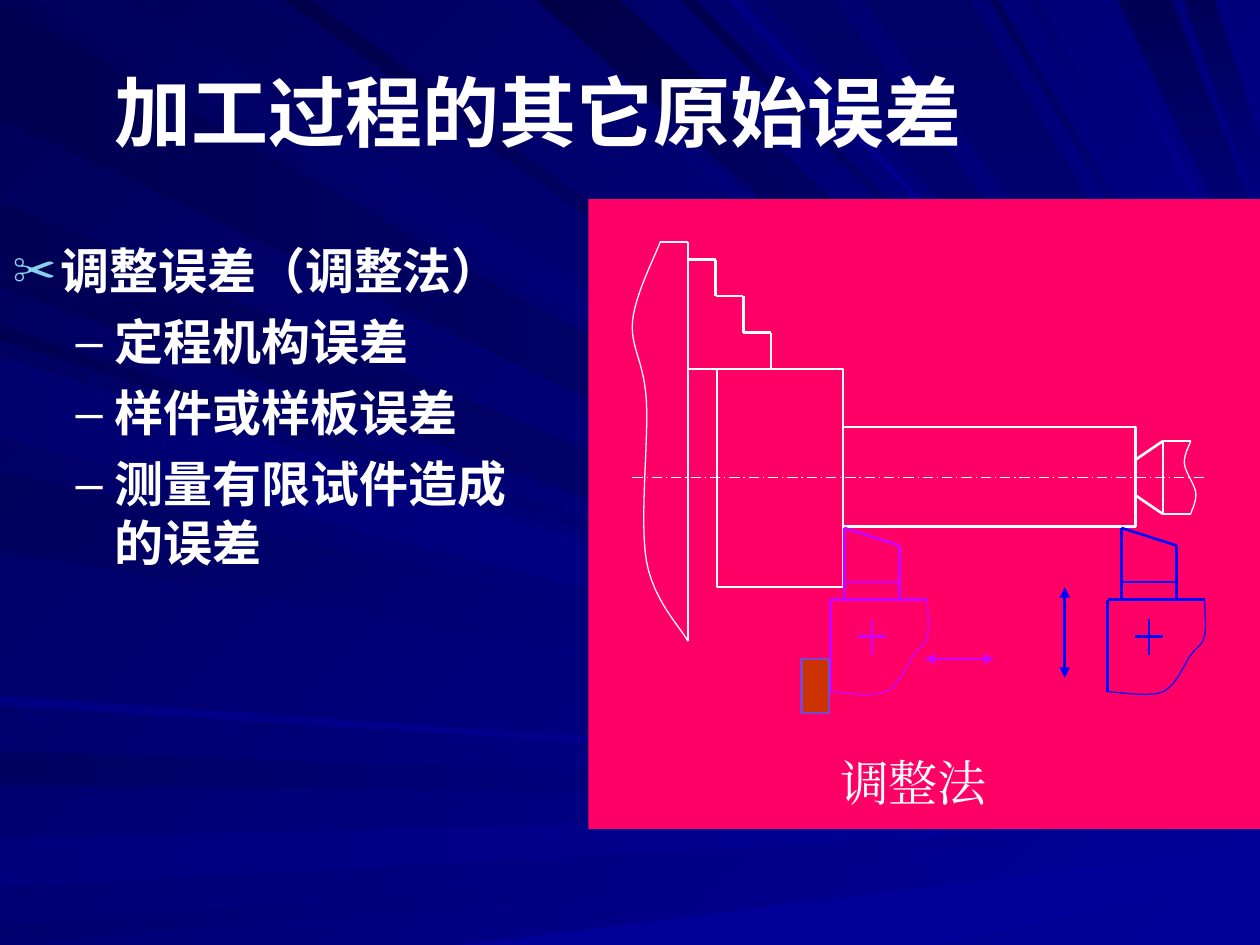
from itertools import pairwise

from lxml.etree import SubElement
from pptx import Presentation
from pptx.dml.color import RGBColor
from pptx.enum.dml import MSO_LINE
from pptx.enum.shapes import MSO_CONNECTOR, MSO_SHAPE
from pptx.enum.text import MSO_ANCHOR, MSO_AUTO_SIZE, PP_ALIGN
from pptx.oxml.ns import qn
from pptx.util import Pt

WHITE, BLUE, VIOLET = "FFFFFF", "0000FF", "CC00FF"
NOTO, TIMES = "Noto Sans CJK SC", "Times New Roman"

# Ray kinds: edge it starts from, end colour, gradient angle
KINDS = {
    "dusk": ("left", "000080", 0),
    "dawn": ("left", "000099", 0),
    "slant": ("left", "000099", 45),
    "beam": ("top", "000099", 45),
    "shade": ("top", "000080", 90),
}
# Rays: kind, start colour, span on the edge, tip on the right side (and its width)
RAYS = [
    ("dusk", "000051", .02, .93, 5.7), ("beam", "00005D", .26, 1.01, 5.63),
    ("dawn", "000061", 5.96, 6.23, 6.32), ("dawn", "00007D", 6.65, 7.04, 6.43, .08),
    ("dawn", "00006F", 7.35, 7.5, 6.62), ("slant", "000053", 2.58, 2.7, 5.89),
    ("dusk", "000055", 1.59, 2.28, 5.85), ("beam", "00006B", 3.98, 4.16, 5.15, .06),
    ("beam", "000047", 4.26, 4.92, 4.79, .28), ("beam", "00004F", 5.4, 5.52, 4.63),
    ("shade", "000065", 6.06, 6.61, 4.45), ("shade", "000055", 8.87, 9.3, 1.83, .54),
    ("shade", "000059", 9.39, 9.64, 1.14, .53), ("slant", "000061", 2.78, 3.42, 5.96, .06),
    ("slant", "00005D", 3.74, 4.37, 6.05), ("dawn", "000082", 5.52, 5.6, 6.22),
    ("beam", "00004A", 2.25, 2.47, 5.47, .05), ("beam", "000082", 5.77, 5.88, 4.53),
    ("shade", "000065", 6.86, 7.7, 3.9, .38), ("beam", "000058", 7.85, 7.92, 3.54, .06),
    ("beam", "00006F", 8.15, 8.24, 3.35), ("beam", "000079", 8.65, 8.72, 2.49, .09),
    ("dawn", "00006F", 2.83, 3.47, 6.01, .05),
]


def color(code):
    return RGBColor.from_string(code)


def pts(inch):
    """Plan sizes are in inches, 72 points each."""
    return Pt(72 * inch)


def blend(fill, first, last, angle):
    fill.gradient()
    fill.gradient_angle = (360 - angle) % 360
    for stop, code in zip(fill.gradient_stops, (first, last)):
        stop.color.rgb = color(code)


class Board:
    def __init__(self, slide):
        self.slide, self.shapes = slide, slide.shapes
        self.thin, self.thick = Pt(0.75), Pt(1.5)

    def paint(self, shape, fill=None, line=None, width=None):
        shape.shadow.inherit = False
        if fill:
            shape.fill.solid()
            shape.fill.fore_color.rgb = color(fill)
        else:
            shape.fill.background()
        if line:
            shape.line.color.rgb = color(line)
            shape.line.width = width or self.thick
        else:
            shape.line.fill.background()

    def rect(self, x, y, w, h, fill=None, line=None):
        box = self.shapes.add_shape(MSO_SHAPE.RECTANGLE, *map(pts, (x, y, w, h)))
        self.paint(box, fill, line)

    def outline(self, spots, close):
        start, *rest = [(pts(x), pts(y)) for x, y in spots]
        pen = self.shapes.build_freeform(*start, scale=1.0)
        pen.add_line_segments(rest, close=close)
        return pen.convert_to_shape()

    def ray(self, kind, first, start, end, tip, wide=.01):
        edge, last, angle = KINDS[kind]
        if edge == "left":
            base = [(0, start), (0, end)]
        else:
            base = [(end, 0), (start, 0)]
        shape = self.outline(base + [(10, tip + wide), (10, tip)], True)
        self.paint(shape, first)
        blend(shape.fill, first, last, angle)

    def curve(self, spots, ink):
        """Draw a smooth line through all the spots."""
        ends = [spots[0], *spots, spots[-1]]
        trail = [spots[0]]
        for a, b, c, d in zip(ends, ends[1:], ends[2:], ends[3:]):
            for t in (n / 12 for n in range(1, 13)):
                trail.append(tuple(
                    q + t * (r - p + t * (2 * p - 5 * q + 4 * r - s
                                          + t * (3 * q - p - 3 * r + s))) / 2
                    for p, q, r, s in zip(a, b, c, d)))
        self.paint(self.outline(trail, False), None, ink, self.thin)

    def line(self, start, end, ink=WHITE, width=None, dash=None, arrow=False):
        link = self.shapes.add_connector(MSO_CONNECTOR.STRAIGHT, *map(pts, (*start, *end)))
        link.line.color.rgb = color(ink)
        link.line.width = width or self.thick
        if dash:
            link.line.dash_style = dash
        if arrow:
            for tag in ("a:headEnd", "a:tailEnd"):
                SubElement(link.line._get_or_add_ln(), qn(tag), type="triangle")
        SubElement(link.element.spPr, qn("a:effectLst"))

    def chain(self, *spots, ink=WHITE):
        for start, end in pairwise(spots):
            self.line(start, end, ink)

    def run(self, para, text, size, face, bold=False):
        run = para.add_run()
        run.text = text
        font = run.font
        font.size, font.bold, font.name = Pt(size), bold, face
        font.color.rgb = color(WHITE)
        SubElement(run._r.get_or_add_rPr(), qn("a:ea"), typeface=face)

    def place(self, holder, x, y, w, h):
        holder.left, holder.top, holder.width, holder.height = map(pts, (x, y, w, h))
        holder.element.getparent().append(holder.element)
        holder.text_frame.auto_size = MSO_AUTO_SIZE.NONE
        return holder.text_frame

    def title(self, text, *area):
        frame = self.place(self.shapes.title, *area)
        frame.vertical_anchor = MSO_ANCHOR.MIDDLE
        para = frame.paragraphs[0]
        para.alignment = PP_ALIGN.CENTER
        self.run(para, text, 44, NOTO, True)

    def list(self, items, *area):
        frame = self.place(self.slide.placeholders[1], *area)
        looks = [("✂", "86D1EC", 90, .38, .38), ("–", WHITE, 100, .81, .31)]
        for i, (level, text) in enumerate(items):
            para = frame.add_paragraph() if i else frame.paragraphs[0]
            mark, ink, size, left, hang = looks[level]
            para.level = level
            props = para._p.get_or_add_pPr()
            props.set("marL", str(pts(left)))
            props.set("indent", str(-pts(hang)))
            SubElement(SubElement(props, qn("a:buClr")), qn("a:srgbClr"), val=ink)
            SubElement(props, qn("a:buSzPct"), val=str(size * 1000))
            SubElement(props, qn("a:buChar"), char=mark)
            para.space_before = Pt(7 if i else 0)
            self.run(para, text, 28, NOTO, True)

    def label(self, text, *area):
        frame = self.shapes.add_textbox(*map(pts, area)).text_frame
        frame.word_wrap = True
        frame.auto_size = MSO_AUTO_SIZE.SHAPE_TO_FIT_TEXT
        para = frame.paragraphs[0]
        para.alignment = PP_ALIGN.CENTER
        self.run(para, text, 28, TIMES)

    def tool(self, x, ink):
        """Draw a cutting tool whose holder starts at x."""
        l, r, end, top, low = x + .11, x + .55, x + .77, 4.76, 5.49
        self.chain((l, top), (l, 4.19), (r, 4.33), (r, top), ink=ink)
        self.chain((l, 4.62), (r, 4.62), ink=ink)
        self.chain((end, top), (x, top), (x, low), ink=ink)
        mid, half, cy = x + .33, .11, 5.05
        self.curve([(end, top), (end, cy), (end - half, 5.2), (x + .44, low), (x, low)], ink)
        self.chain((mid - half, cy), (mid + half, cy), ink=ink)
        self.chain((mid, cy - .14), (mid, cy + .15), ink=ink)


def main():
    deck = Presentation()
    deck.slide_width, deck.slide_height = Pt(720), Pt(540)
    board = Board(deck.slides.add_slide(deck.slide_layouts[1]))

    # Backdrop
    blend(board.slide.background.fill, "000058", "000099", 45)
    for ray in RAYS:
        board.ray(*ray)
    glow = board.outline([(3.64, 7.5), (7.42, 7.5), (10, 6.94), (10, 6.72)], True)
    board.paint(glow, "000099")
    board.rect(4.67, 1.58, 5.33, 5, "FF0066")

    # Text
    board.title("加工过程的其它原始误差", .42, .25, 7.7, 1.25)
    board.list([(0, "调整误差（调整法）"), (1, "定程机构误差"), (1, "样件或样板误差"),
                (1, "测量有限试件造成的误差")], 0, 1.86, 4.25, 5.83)

    # Workpiece on its axis
    board.line((5.02, 3.79), (9.58, 3.79), WHITE, board.thin, MSO_LINE.LONG_DASH_DOT)
    board.rect(5.69, 2.93, 1, 1.73, line=WHITE)
    board.rect(6.69, 3.39, 2.32, .79, line=WHITE)

    # Chuck with stepped jaw
    face, rim, foot = 5.46, 1.92, 5.09
    for i in range(3):
        x, y = face + .22 * i, 2.06 + .29 * i
        board.chain((x, y), (x + .22, y), (x + .22, y + .29))
    board.chain((face, foot), (face, rim), (5.24, rim))
    board.chain((face, 2.93), (5.69, 2.93))
    board.curve([(5.24, rim), (5.02, 2.55), (5.13, 3.18), (5.13, 4.45), (face, foot)], WHITE)

    # Tailstock centre
    nose, neck, back, top, low = 9.01, 9.23, 9.45, 3.5, 4.08
    board.chain((nose, 3.65), (neck, top), (neck, low), (nose, 3.93))
    for y in (top, low):
        board.chain((neck, y), (back, y))
    board.curve([(back, top), (9.4, 3.68), (9.49, 3.91), (back, low)], WHITE)

    # Tools, stop block and feed arrows
    board.tool(8.79, BLUE)
    board.tool(6.59, VIOLET)
    board.rect(6.36, 5.23, .22, .43, "CC3300", "7B46D0")
    board.line((8.45, 5.38), (8.45, 4.66), BLUE, arrow=True)
    board.line((7.89, 5.23), (7.34, 5.23), VIOLET, arrow=True)
    board.label("调整法", 5.5, 5.92, 3.5, .57)

    deck.save("out.pptx")


if __name__ == "__main__":
    main()
